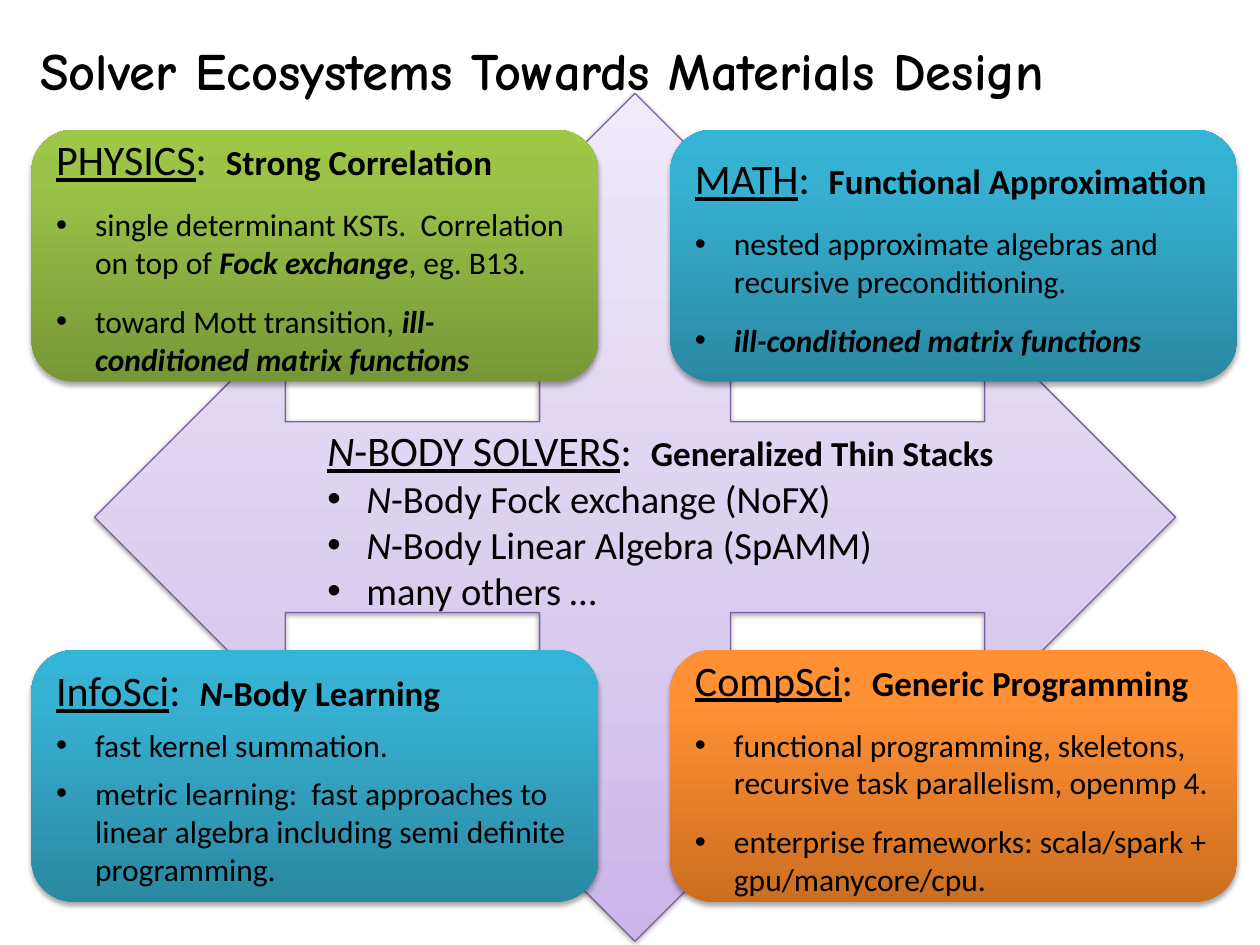
from dataclasses import dataclass
from typing import NamedTuple

from lxml.etree import SubElement
from pptx import Presentation
from pptx.dml.color import RGBColor
from pptx.enum.shapes import MSO_SHAPE as SHAPE
from pptx.enum.text import MSO_ANCHOR as ANCHOR, MSO_AUTO_SIZE as AUTO, PP_ALIGN as ALIGN
from pptx.oxml.ns import qn
from pptx.util import Inches, Pt

WIDTH, HEIGHT = 10, 7.5
# Cards sit on a two by two grid
LEFT, TOP, COL_STEP, ROW_STEP = 0.25, 1.03, 5.07, 4.13
CARD_W, CARD_H = 4.5, 2
INDENT = Inches(0.31)
BODY_FONT, TITLE_FONT = "Calibri", "Comic Neue"
COLORS = {"text": "000000", "shadow": "000000", "arrow_line": "7D60A0"}
GRADIENTS = {
    "purple": {0: "C9B5E8", 35: "D8CBEE", 100: "F0EAF9"},
    "orange": {0: "CC6E20", 80: "FF9034", 100: "FF9136"},
    "blue": {0: "2A88A2", 80: "37B1D2", 100: "34B4D6"},
    "green": {0: "779737", 80: "9BC348", 100: "9DC746"},
}


class Run(NamedTuple):
    text: str
    style: str = ""  # any of b, i, u


@dataclass
class Topic:
    heading: list[Run]
    subject: list[Run]
    bullets: list[list[Run]]
    bullet_size: int = 18
    before: int = 0
    after: int = 0


@dataclass
class Card:
    col: int
    row: int
    gradient: str
    topic: Topic


CARDS = [
    Card(1, 1, "orange", Topic(
        [Run("CompSci", "u")], [Run("Generic Programming", "b")],
        [[Run("functional programming, skeletons, recursive task parallelism, openmp 4.")],
         [Run("enterprise frameworks: scala/spark + gpu/manycore/cpu.")]],
        before=6, after=6)),
    Card(0, 1, "blue", Topic(
        [Run("InfoSci", "u")], [Run("N", "bi"), Run("-Body Learning", "b")],
        [[Run("fast kernel summation.")],
         [Run("metric learning:  fast approaches to linear algebra including "
              "semi definite programming.")]],
        before=4, after=2)),
    Card(0, 0, "green", Topic(
        [Run("PHYSICS", "u")], [Run("Strong Correlation", "b")],
        [[Run("single determinant KSTs.  Correlation on top of "),
          Run("Fock exchange", "bi"), Run(", eg. B13.")],
         [Run("toward Mott transition, "), Run("ill-conditioned matrix functions", "bi")]],
        before=6, after=6)),
    Card(1, 0, "blue", Topic(
        [Run("MATH", "u")], [Run("Functional Approximation", "b")],
        [[Run("nested approximate algebras and recursive preconditioning.")],
         [Run("ill-conditioned matrix functions", "bi")]],
        before=6, after=6)),
]
SOLVERS = Topic(
    [Run("N", "iu"), Run("-BODY SOLVERS", "u")], [Run("Generalized Thin Stacks", "b")],
    [[Run("N", "i"), Run("-Body Fock exchange (NoFX)")],
     [Run("N", "i"), Run("-Body Linear Algebra (SpAMM)")],
     [Run("many others …")]],
    bullet_size=22)


def add_runs(p, runs: list[Run], size: int, font: str = BODY_FONT) -> None:
    for run in runs:
        r = p.add_run()
        r.text = run.text
        f = r.font
        f.name, f.size = font, Pt(size)
        f.color.rgb = RGBColor.from_string(COLORS["text"])
        f.bold, f.italic, f.underline = (flag in run.style for flag in "biu")


def add_bullet(p) -> None:
    pPr = p._p.get_or_add_pPr()
    pPr.set("marL", str(INDENT))
    pPr.set("indent", str(-INDENT))
    SubElement(pPr, qn("a:buFont"), typeface="Arial")
    SubElement(pPr, qn("a:buChar"), char="•")


def write_topic(tf, topic: Topic) -> None:
    p = tf.paragraphs[0]
    p.alignment = ALIGN.LEFT
    p.space_after = Pt(topic.after)
    add_runs(p, topic.heading + [Run(":  ")], 24)
    add_runs(p, topic.subject, 20)
    for bullet in topic.bullets:
        p = tf.add_paragraph()
        p.alignment = ALIGN.LEFT
        p.space_before, p.space_after = Pt(topic.before), Pt(topic.after)
        add_bullet(p)
        add_runs(p, bullet, topic.bullet_size)


def add_color(parent, name: str, color: str, **attrs: str):
    holder = SubElement(parent, qn(name), **attrs)
    return SubElement(holder, qn("a:srgbClr"), val=color)


def add_gradient_shape(slide, kind, box: tuple, gradient: str, opacity: int, distance: float):
    """Add a shape with a vertical gradient and a soft shadow below it."""
    sp = slide.shapes.add_shape(kind, *map(Inches, box))
    sp.fill.gradient()
    sp.fill.gradient_angle = 90
    stops = sp._element.spPr.find(f"{qn('a:gradFill')}/{qn('a:gsLst')}")
    for stop in list(stops):
        stops.remove(stop)
    for position, color in GRADIENTS[gradient].items():
        add_color(stops, "a:gs", color, pos=str(position * 1000))
    sp.line.fill.background()
    sp.shadow.inherit = False
    effects = sp._element.spPr.find(qn("a:effectLst"))
    shade = add_color(effects, "a:outerShdw", COLORS["shadow"], blurRad=str(Pt(3.1)),
                      dist=str(Pt(distance)), dir="5400000", rotWithShape="0")
    SubElement(shade, qn("a:alpha"), val=str(opacity * 1000))
    return sp


def add_card(slide, card: Card) -> None:
    box = (LEFT + card.col * COL_STEP, TOP + card.row * ROW_STEP, CARD_W, CARD_H)
    sp = add_gradient_shape(slide, SHAPE.ROUNDED_RECTANGLE, box, card.gradient, 35, 1.8)
    tf = sp.text_frame
    tf.word_wrap, tf.vertical_anchor = True, ANCHOR.MIDDLE
    write_topic(tf, card.topic)


def add_text_frame(slide, box: tuple, wrap: bool):
    tf = slide.shapes.add_textbox(*map(Inches, box)).text_frame
    tf.word_wrap, tf.auto_size = wrap, AUTO.SHAPE_TO_FIT_TEXT
    return tf


def main() -> None:
    prs = Presentation()
    prs.slide_width, prs.slide_height = Inches(WIDTH), Inches(HEIGHT)
    slide = prs.slides.add_slide(prs.slide_layouts[6])

    arrow = add_gradient_shape(slide, SHAPE.QUAD_ARROW, (0.75, 0.74, 8.58, 6.73),
                               "purple", 38, 1.6)
    arrow.line.color.rgb = RGBColor.from_string(COLORS["arrow_line"])
    arrow.line.width = Pt(0.75)

    for card in CARDS:
        add_card(slide, card)
    write_topic(add_text_frame(slide, (WIDTH / 4, 3.32, 7.92, 1.62), True), SOLVERS)

    title = add_text_frame(slide, (0.22, 0.25, 9.41, 0.61), False)
    add_runs(title.paragraphs[0], [Run("Solver Ecosystems Towards Materials Design", "b")],
             30, TITLE_FONT)
    prs.save("out.pptx")


if __name__ == "__main__":
    main()
